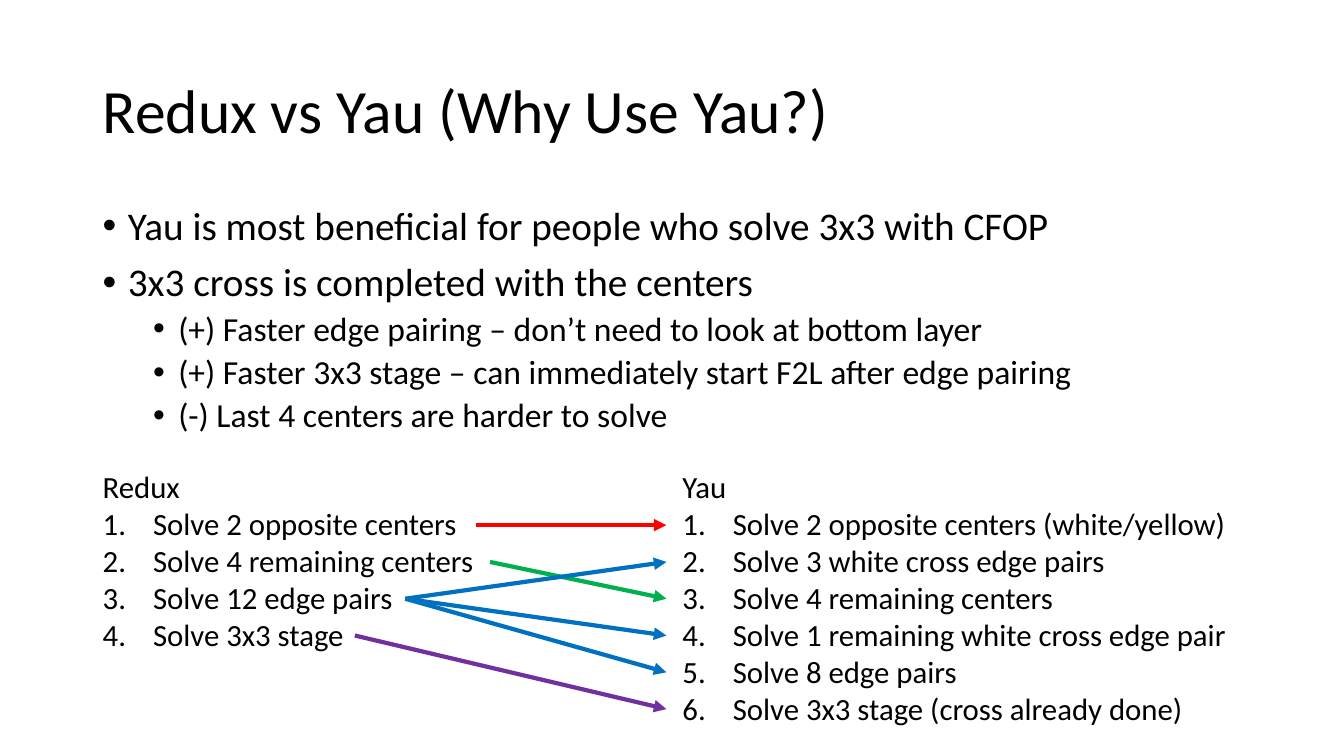
"""Build the slide comparing the Redux and Yau solving methods."""
from lxml import etree
from pptx import Presentation
from pptx import util as u
from pptx.dml.color import RGBColor
from pptx.enum import shapes, text
from pptx.oxml import ns

BLACK = RGBColor(0x00, 0x00, 0x00)
WHITE = RGBColor(0xFF, 0xFF, 0xFF)
RED = RGBColor(0xFF, 0x00, 0x00)
GREEN = RGBColor(0x00, 0xB0, 0x50)
BLUE = RGBColor(0x00, 0x70, 0xC0)
PURPLE = RGBColor(0x70, 0x30, 0xA0)
FONT = "Calibri"

TITLE = "Redux vs Yau (Why Use Yau?)"
POINTS = [
    (0, "Yau is most beneficial for people who solve 3x3 with CFOP"),
    (0, "3x3 cross is completed with the centers"),
    (1, "(+) Faster edge pairing – don’t need to look at bottom layer"),
    (1, "(+) Faster 3x3 stage – can immediately start F2L after edge pairing"),
    (1, "(-) Last 4 centers are harder to solve"),
]
POINT_STYLES = [(28, 10, 0.25), (24, 5, 0.75)]
METHODS = [
    (0.92, "Redux", [
        "Solve 2 opposite centers",
        "Solve 4 remaining centers",
        "Solve 12 edge pairs",
        "Solve 3x3 stage",
    ]),
    (6.67, "Yau", [
        "Solve 2 opposite centers (white/yellow)",
        "Solve 3 white cross edge pairs",
        "Solve 4 remaining centers",
        "Solve 1 remaining white cross edge pair",
        "Solve 8 edge pairs",
        "Solve 3x3 stage (cross already done)",
    ]),
]
STEP_LINKS = [
    (4.72, 1, [1], RED),
    (4.86, 2, [3], GREEN),
    (3.52, 4, [6], PURPLE),
    (4.02, 3, [2, 4, 5], BLUE),
]
ARROW_END = 6.61
FIRST_STEP, STEP_GAP = 5.21, 0.365


def add_box(page, left, top, width, height):
    box = page.shapes.add_textbox(*map(u.Inches, (left, top, width, height)))
    box.text_frame.word_wrap = True
    return box.text_frame


def add_para(frame, words, size):
    first = frame.paragraphs[0]
    para = frame.add_paragraph() if first.runs else first
    span = para.add_run()
    span.text = words
    span.font.name = FONT
    span.font.size = u.Pt(size)
    span.font.color.rgb = BLACK
    return para


def add_marker(para, margin, hang, tag, **attributes):
    props = para._p.get_or_add_pPr()
    props.set("marL", str(u.Inches(margin)))
    props.set("indent", str(-u.Inches(hang)))
    etree.SubElement(props, ns.qn("a:buFont"), typeface="Arial")
    etree.SubElement(props, ns.qn(tag), **attributes)


def add_arrow(page, start, end, color):
    arrow = page.shapes.add_connector(
        shapes.MSO_CONNECTOR.STRAIGHT, *map(u.Inches, start + end))
    arrow.line.color.rgb = color
    arrow.line.width = u.Pt(3)
    etree.SubElement(arrow.line._get_or_add_ln(), ns.qn("a:tailEnd"), type="triangle")
    etree.SubElement(arrow._element.spPr, ns.qn("a:effectLst"))


def step_height(step):
    return FIRST_STEP + (step - 1) * STEP_GAP


def main():
    deck = Presentation()
    deck.slide_width, deck.slide_height = u.Inches(13.33), u.Inches(7.5)
    page = deck.slides.add_slide(deck.slide_layouts[6])
    page.background.fill.solid()
    page.background.fill.fore_color.rgb = WHITE

    title = add_box(page, 0.92, 0.4, 11.5, 1.45)
    title.vertical_anchor = text.MSO_ANCHOR.MIDDLE
    add_para(title, TITLE, 44).line_spacing = 0.9

    for left, name, steps in METHODS:
        frame = add_box(page, left, 4.59, 5.75, 0.11 + 0.37 * (len(steps) + 1))
        add_para(frame, name, 22)
        for step in steps:
            add_marker(add_para(frame, step, 22), 0.5, 0.5,
                       "a:buAutoNum", type="arabicPeriod")

    for left, source, targets, color in STEP_LINKS:
        for target in targets:
            add_arrow(page, (left, step_height(source)),
                      (ARROW_END, step_height(target)), color)

    body = add_box(page, 0.92, 2, 11.5, 4.76)
    for level, words in POINTS:
        size, space, margin = POINT_STYLES[level]
        para = add_para(body, words, size)
        para.level = level
        para.line_spacing = 0.9
        para.space_before = u.Pt(space)
        add_marker(para, margin, 0.25, "a:buChar", char="•")

    deck.save("out.pptx")


if __name__ == "__main__":
    main()
